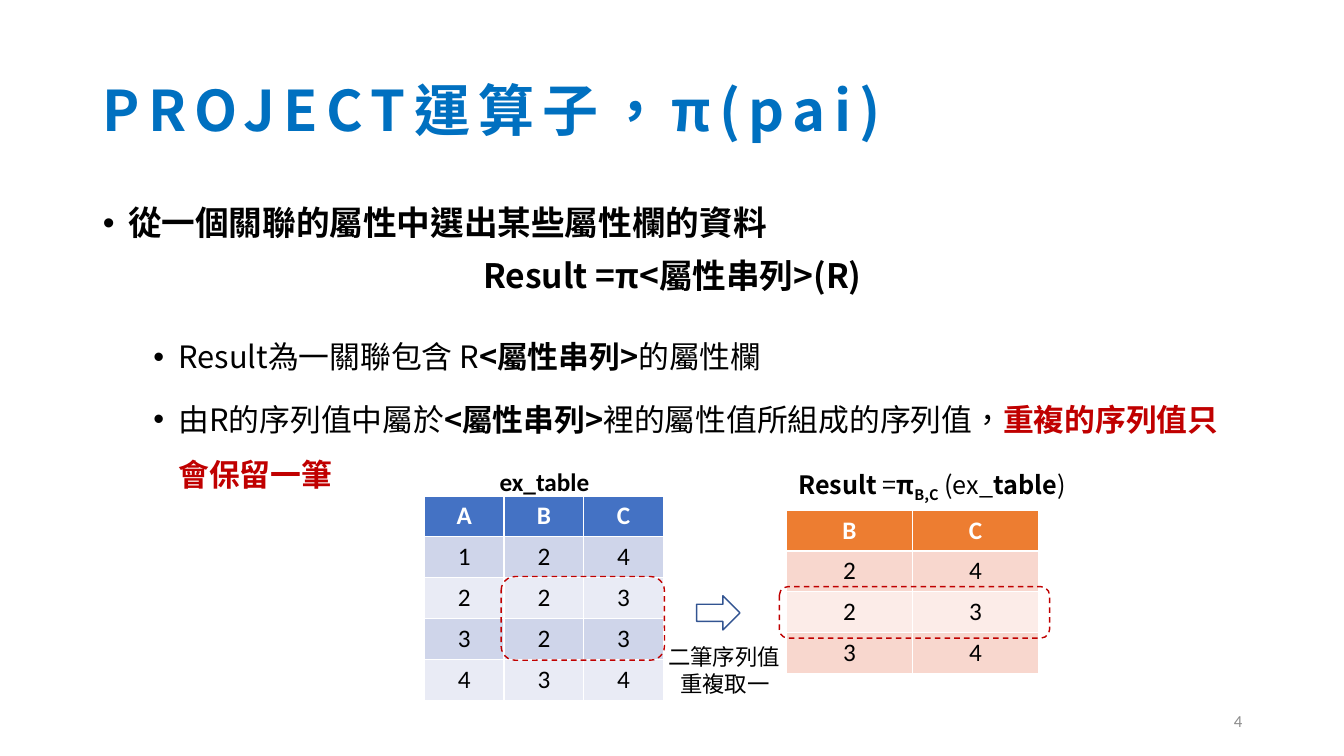
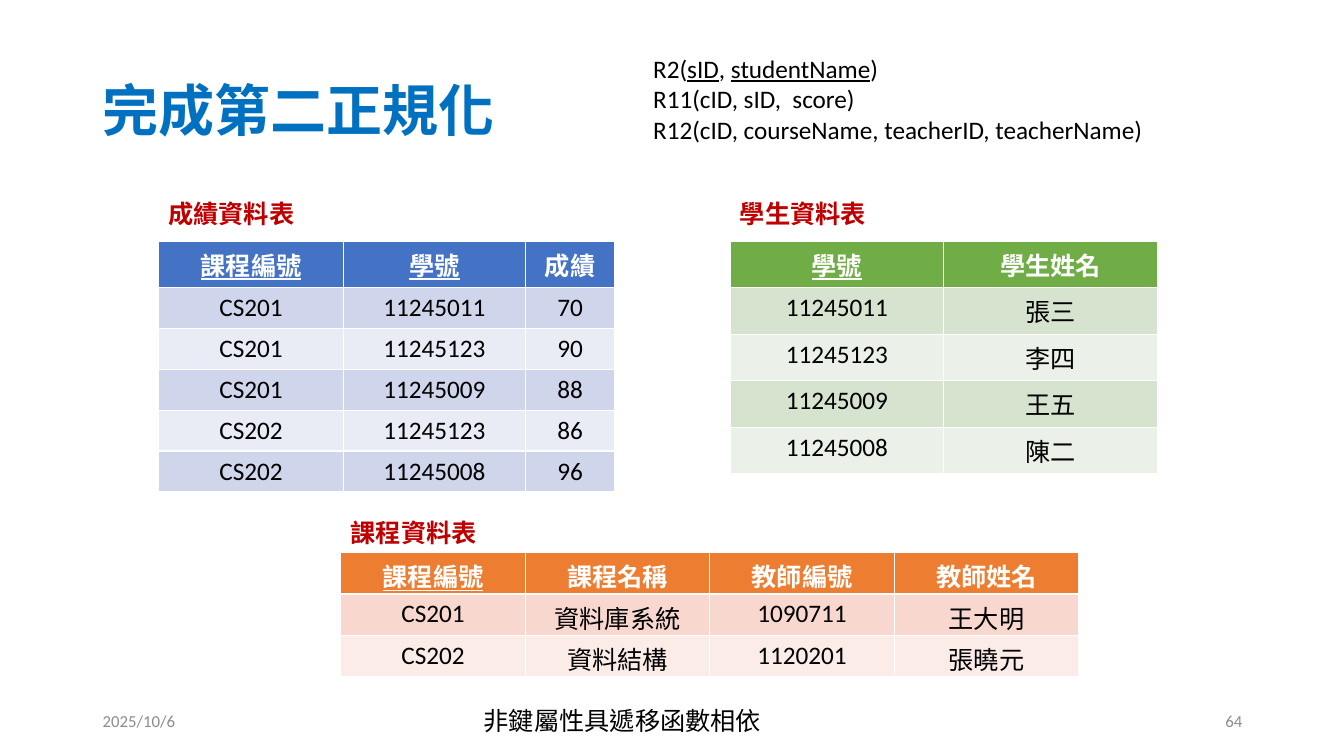
from collections import namedtuple

from lxml import etree
from pptx import Presentation
from pptx.dml.color import RGBColor as RGB
from pptx.enum.dml import MSO_LINE_DASH_STYLE as DASH
from pptx.enum.shapes import MSO_SHAPE as SHAPE
from pptx.enum.text import MSO_ANCHOR as ANCHOR, MSO_AUTO_SIZE as AUTO, PP_ALIGN as ALIGN
from pptx.oxml.ns import qn
from pptx.util import Inches, Pt

# Theme: colours, fonts, type sizes and table palettes (header, odd rows, even rows)
Theme = namedtuple("Theme", "title text accent muted white arrow latin cjk "
                   "title_size lead_size item_size label_size note_size foot_size blue orange green")
T = Theme(title="0070C0", text="000000", accent="C00000", muted="8C8C8C", white="FFFFFF",
          arrow="325491", latin="Calibri", cjk="Noto Sans CJK SC",
          title_size=40, lead_size=24, item_size=22, label_size=18, note_size=16, foot_size=12,
          blue=("4472C4", "CFD5EA", "E9EBF5"),
          orange=("ED7D31", "F8D7CE", "FCECE8"),
          green=("70AD47", "D5E3CF", "EBF1E9"))
ROW_H = 0.405


def write(p, runs, align=ALIGN.LEFT, **base):
    """Fill a paragraph with runs: plain strings or (text, format changes)."""
    p.alignment = align
    for run in [runs] if isinstance(runs, str) else runs:
        text, changes = (run, {}) if isinstance(run, str) else run
        fmt = {"size": T.label_size, "name": T.latin, "color": T.text, "bold": False,
               "underline": False, **base, **changes}
        r = p.add_run()
        r.text = text
        r.font.color.rgb = RGB.from_string(fmt.pop("color"))
        r.font.size = Pt(fmt.pop("size"))
        rpr = r.font._element
        rpr.set("lang", "zh-TW")
        for key in ("spc", "baseline"):
            if key in fmt:
                rpr.set(key, str(fmt.pop(key)))
        for key, value in fmt.items():
            setattr(r.font, key, value)
        rpr.find(qn("a:latin")).addnext(etree.Element(qn("a:ea"), typeface=T.cjk))


def add_grid(s, left, top, widths, palette, rows, keys=(), **cell_format):
    """Add a banded table; columns listed in keys have underlined headers."""
    tbl = s.shapes.add_table(len(rows), len(widths), Inches(left), Inches(top),
                             Inches(sum(widths)), Inches(ROW_H * len(rows))).table
    for col, width in zip(tbl.columns, widths):
        col.width = Inches(width)
    for i, row in enumerate(rows):
        tbl.rows[i].height = Inches(ROW_H)
        for j, text in enumerate(row):
            cell = tbl.cell(i, j)
            cell.fill.solid()
            cell.fill.fore_color.rgb = RGB.from_string(palette[0 if i == 0 else 2 - i % 2])
            for key, value in cell_format.items():
                setattr(cell, key, value)
            write(cell.text_frame.paragraphs[0], text, ALIGN.CENTER, bold=i == 0,
                  color=T.text if i else T.white, underline=i == 0 and j in keys)


prs = Presentation()
prs.slide_width, prs.slide_height = Inches(13.33), Inches(7.5)
project = prs.slides.add_slide(prs.slide_layouts[1])
normal = prs.slides.add_slide(prs.slide_layouts[5])

# Titles
for s, text, fmt in [(project, "PROJECT運算子，π(pai)", {"name": T.cjk, "spc": 600}),
                     (normal, "完成第二正規化", {})]:
    sp = s.shapes.title
    sp.left, sp.top, sp.width, sp.height = map(Inches, (0.92, 0.4, 11.5, 1.45))
    tf = sp.text_frame
    tf.vertical_anchor, tf.auto_size = ANCHOR.MIDDLE, AUTO.NONE
    p = tf.paragraphs[0]
    p.line_spacing = 0.9
    write(p, text, size=T.title_size, color=T.title, bold=True, **fmt)

# PROJECT operator: definition list
sp = project.placeholders[1]
sp.left, sp.top, sp.width, sp.height = map(Inches, (0.92, 2, 11.5, 4.76))
tf = sp.text_frame
tf.auto_size = AUTO.NONE
attributes = ("<屬性串列>", {"bold": True})
lead = {"size": T.lead_size, "bold": True}
item = {"size": T.item_size}
body = [  # runs, level, left margin, bullet, alignment, line spacing, before, after, format
    ("從一個關聯的屬性中選出某些屬性欄的資料", 0, 0.25, True, ALIGN.LEFT, 0.9, 0, 0, lead),
    ("Result =π<屬性串列>(R)", 0, 0, False, ALIGN.CENTER, 0.9, 12, 12, lead),
    (["Result為一關聯包含 R", attributes, "的屬性欄"],
     1, 0.75, True, ALIGN.LEFT, 1.5, 5, 0, item),
    (["由R的序列值中屬於", attributes, "裡的屬性值所組成的序列值，",
      ("重複的序列值只會保留一筆", {"bold": True, "color": T.accent})],
     1, 0.75, True, ALIGN.LEFT, 1.5, 5, 0, item),
]
for i, (runs, level, margin, bullet, align, spacing, before, after, fmt) in enumerate(body):
    p = tf.add_paragraph() if i else tf.paragraphs[0]
    ppr = p._p.get_or_add_pPr()
    ppr.set("marL", str(Inches(margin)))
    ppr.set("indent", str(Inches(-0.25 if bullet else 0)))
    if bullet:
        etree.SubElement(ppr, qn("a:buFont"), typeface="Arial")
        etree.SubElement(ppr, qn("a:buChar"), char="•")
    else:
        etree.SubElement(ppr, qn("a:buNone"))
    p.level, p.line_spacing = level, spacing
    p.space_before, p.space_after = Pt(before), Pt(after)
    write(p, runs, align, name=T.cjk, **fmt)

# PROJECT operator: source and result tables
add_grid(project, 4.21, 4.92, [0.79] * 3, T.blue,
         ["ABC", "124", "223", "323", "434"])
add_grid(project, 7.8, 5.06, [1.25] * 2, T.orange, ["BC", "24", "23", "34"])

# PROJECT operator: duplicate markers and arrow
for shape, at, color, dash in [
        (SHAPE.ROUNDED_RECTANGLE, (4.97, 5.72, 1.62, 0.83), T.accent, DASH.DASH),
        (SHAPE.ROUNDED_RECTANGLE, (7.73, 5.82, 2.68, 0.51), T.accent, DASH.DASH),
        (SHAPE.RIGHT_ARROW, (6.91, 5.91, 0.43, 0.34), T.arrow, DASH.SOLID)]:
    sp = project.shapes.add_shape(shape, *map(Inches, at))
    sp.shadow.inherit = False
    sp.fill.background()
    sp.line.color.rgb = RGB.from_string(color)
    sp.line.width, sp.line.dash_style = Pt(1), dash

# Second normal form: the three resulting tables
add_grid(normal, 1.57, 2.39, [1.84, 1.8, 0.89], T.blue, [
    ("課程編號", "學號", "成績"),
    ("CS201", "11245011", "70"),
    ("CS201", "11245123", "90"),
    ("CS201", "11245009", "88"),
    ("CS202", "11245123", "86"),
    ("CS202", "11245008", "96")], keys=(0, 1))
add_grid(normal, 7.24, 2.39, [2.12] * 2, T.green, [
    ("學號", "學生姓名"),
    ("11245011", "張三"),
    ("11245123", "李四"),
    ("11245009", "王五"),
    ("11245008", "陳二")], keys=(0,))
add_grid(normal, 3.38, 5.48, [1.83] * 4, T.orange, [
    ("課程編號", "課程名稱", "教師編號", "教師姓名"),
    ("CS201", "資料庫系統", "1090711", "王大明"),
    ("CS202", "資料結構", "1120201", "張曉元")], keys=(0,), margin_bottom=0)

# Labels, notes and footers: slide, place, anchor, paragraphs (runs, alignment), format
bold, under = {"bold": True}, {"underline": True}
caption = {"color": T.accent, "bold": True}
foot = {"size": T.foot_size, "color": T.muted}
page_at, date_at = (9.42, 6.95, 3, 0.4), (0.92, 6.95, 3, 0.4)
texts = [
    (project, (4.84, 4.58, 1.12, 0.4), ANCHOR.TOP, [("ex_table", ALIGN.CENTER)], bold),
    (project, (7.82, 4.64, 3.19, 0.34), ANCHOR.TOP,
     [([("Result", bold), " =", ("π", bold), ("B,C", {"bold": True, "baseline": -25000}),
        " (ex_", ("table", bold), ")"], ALIGN.LEFT)], {"name": T.cjk}),
    (project, (6.53, 6.33, 1.32, 0.64), ANCHOR.TOP,
     [("二筆序列值", ALIGN.LEFT), ("重複取一", ALIGN.CENTER)],
     {"size": T.note_size, "name": T.cjk}),
    (normal, (1.57, 1.92, 1.6, 0.4), ANCHOR.TOP, [("成績資料表", ALIGN.LEFT)], caption),
    (normal, (7.24, 1.92, 1.6, 0.4), ANCHOR.TOP, [("學生資料表", ALIGN.LEFT)], caption),
    (normal, (3.38, 5.08, 1.6, 0.4), ANCHOR.TOP, [("課程資料表", ALIGN.LEFT)], caption),
    (normal, (4.7, 6.95, 3.1, 0.4), ANCHOR.TOP, [("非鍵屬性具遞移函數相依", ALIGN.LEFT)], {}),
    (normal, (6.38, 0.48, 5.2, 1.01), ANCHOR.TOP,
     [(["R2(", ("sID", under), ", ", ("studentName", under), ")"], ALIGN.LEFT),
      ("R11(cID, sID,  score)", ALIGN.LEFT),
      ("R12(cID, courseName, teacherID, teacherName)", ALIGN.LEFT)], {}),
    (project, page_at, ANCHOR.MIDDLE, [("4", ALIGN.RIGHT)], foot),
    (normal, page_at, ANCHOR.MIDDLE, [("64", ALIGN.RIGHT)], foot),
    (normal, date_at, ANCHOR.MIDDLE, [("2025/10/6", ALIGN.LEFT)], foot),
]
for s, at, anchor, paragraphs, fmt in texts:
    tf = s.shapes.add_textbox(*map(Inches, at)).text_frame
    tf.word_wrap, tf.vertical_anchor = True, anchor
    for i, (runs, align) in enumerate(paragraphs):
        p = tf.add_paragraph() if i else tf.paragraphs[0]
        if s is project and anchor == ANCHOR.TOP and fmt.get("name") and len(paragraphs) == 1:
            p.line_spacing = 0.8
        write(p, runs, align, **fmt)

prs.save("out.pptx")
